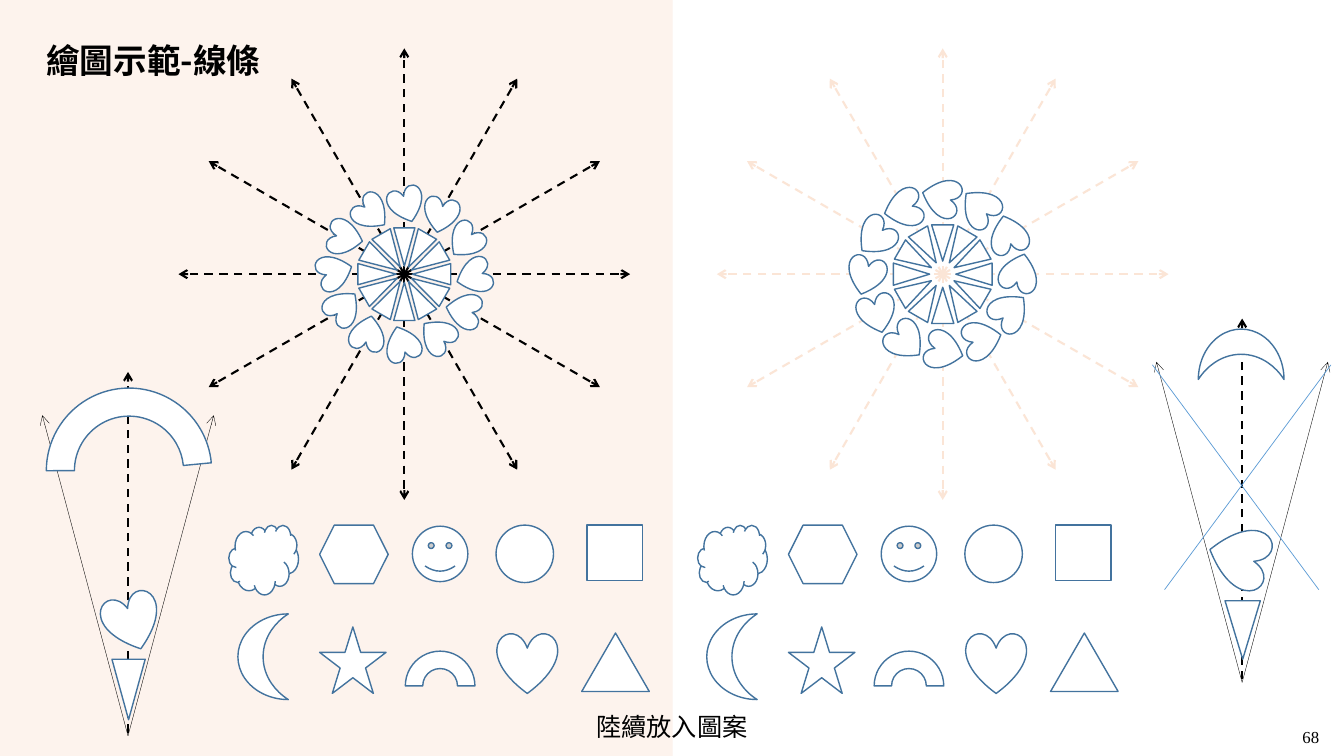
import math
from typing import NamedTuple

import lxml.etree
import pptx
import pptx.dml.color
import pptx.enum.dml
import pptx.enum.shapes
import pptx.enum.text
import pptx.oxml.ns
import pptx.util

Inches = pptx.util.Inches
Pt = pptx.util.Pt
Shape = pptx.enum.shapes.MSO_SHAPE
Align = pptx.enum.text.PP_ALIGN
qualified = pptx.oxml.ns.qn

BLACK = "000000"
WHITE = "FFFFFF"
OUTLINE = "43739E"
PALE = "FBE5D6"
CROSS_BLUE = "5B9BD5"
PANEL = "F4B183"
CJK_FONT = "Noto Sans CJK SC"
SERIF_FONT = "Times New Roman"
SPOKES = 12
RAY_LENGTH = 2.24
GALLERY_SHIFT = 4.65


class Figure(NamedTuple):
    kind: Shape
    left: float
    top: float
    width: float
    height: float
    rotation: float = 0
    adjustments: tuple = ()


class Line(NamedTuple):
    start: tuple
    end: tuple
    color: str
    width: float
    dashed: bool = False
    arrow: bool = False


class Ring(NamedTuple):
    kind: Shape
    width: float
    height: float
    radius: float
    turn: float
    rotation: float


class Wheel(NamedTuple):
    center: tuple
    ray_color: str
    rings: tuple


GALLERY = (
    Figure(Shape.RECTANGLE, 5.82, 5.21, 0.55, 0.55),
    Figure(Shape.ISOSCELES_TRIANGLE, 5.77, 6.28, 0.67, 0.58),
    Figure(Shape.HEXAGON, 3.17, 5.21, 0.68, 0.58),
    Figure(Shape.SMILEY_FACE, 4.09, 5.22, 0.55, 0.55),
    Figure(Shape.BLOCK_ARC, 4.02, 6.46, 0.69, 0.69),
    Figure(Shape.CLOUD, 2.27, 5.21, 0.69, 0.69),
    Figure(Shape.STAR_5_POINT, 3.17, 6.22, 0.66, 0.66),
    Figure(Shape.OVAL, 4.92, 5.21, 0.57, 0.57),
    Figure(Shape.MOON, 2.36, 6.09, 0.5, 0.85),
    Figure(Shape.HEART, 4.93, 6.28, 0.6, 0.6),
)
WHEELS = (
    Wheel((4.01, 2.72), BLACK, (
        Ring(Shape.ISOSCELES_TRIANGLE, 0.21, 0.38, 0.27, 0, 180),
        Ring(Shape.HEART, 0.35, 0.35, 0.69, 1.7, 341.9),
    )),
    Wheel((9.35, 2.72), PALE, (
        Ring(Shape.ISOSCELES_TRIANGLE, 0.22, 0.36, 0.31, 0, 180),
        Ring(Shape.HEART, 0.38, 0.38, 0.76, -1.1, 105),
    )),
)
FAN_APEXES = ((1.27, 7.3), (12.32, 6.77))
FAN_FIGURES = (
    Figure(Shape.HEART, 1.03, 5.89, 0.56, 0.56, 341.9),
    Figure(Shape.BLOCK_ARC, 0.46, 3.85, 1.64, 1.64, 0, (108, 212.71, 0.17)),
    Figure(Shape.ISOSCELES_TRIANGLE, 1.11, 6.54, 0.33, 0.6, 180),
    Figure(Shape.ISOSCELES_TRIANGLE, 12.15, 5.96, 0.35, 0.58, 180),
    Figure(Shape.HEART, 11.99, 5.23, 0.6, 0.6, 105),
    Figure(Shape.MOON, 12.06, 3.09, 0.5, 0.85, 90),
)
CROSS = (
    Line((11.43, 3.62), (13.08, 5.85), CROSS_BLUE, 0.5),
    Line((13.2, 3.62), (11.55, 5.85), CROSS_BLUE, 0.5),
)


def rgb(color: str) -> pptx.dml.color.RGBColor:
    return pptx.dml.color.RGBColor.from_string(color)


def set_alpha(element, percent: int) -> None:
    for color in element.iter(qualified("a:srgbClr")):
        lxml.etree.SubElement(color, qualified("a:alpha"), val=str(percent * 1000))


def polar(center: tuple, radius: float, degrees: float) -> tuple:
    angle = math.radians(degrees)
    return center[0] + radius * math.sin(angle), center[1] - radius * math.cos(angle)


def draw_figure(slide, figure: Figure, shift: float = 0):
    shape = slide.shapes.add_shape(
        figure.kind, Inches(figure.left + shift), Inches(figure.top),
        Inches(figure.width), Inches(figure.height))
    shape.rotation = figure.rotation
    for index, value in enumerate(figure.adjustments):
        shape.adjustments[index] = value
    shape.shadow.inherit = False
    shape.fill.solid()
    shape.fill.fore_color.rgb = rgb(WHITE)
    shape.line.color.rgb = rgb(OUTLINE)
    shape.line.width = Pt(1)
    return shape


def draw_line(slide, line: Line):
    connector = slide.shapes.add_connector(
        pptx.enum.shapes.MSO_CONNECTOR.STRAIGHT,
        *(Inches(value) for value in line.start + line.end))
    connector.line.color.rgb = rgb(line.color)
    connector.line.width = Pt(line.width)
    if line.dashed:
        connector.line.dash_style = pptx.enum.dml.MSO_LINE.DASH
    if line.arrow:
        outline = connector.line._get_or_add_ln()
        lxml.etree.SubElement(outline, qualified("a:tailEnd"), type="arrow")
    lxml.etree.SubElement(connector.element.spPr, qualified("a:effectLst"))
    return connector


def draw_wheel(slide, wheel: Wheel) -> None:
    angles = [360 / SPOKES * spoke for spoke in range(SPOKES)]
    for angle in angles:
        tip = polar(wheel.center, RAY_LENGTH, angle)
        draw_line(slide, Line(wheel.center, tip, wheel.ray_color, 1.5, True, True))
    for ring in wheel.rings:
        for angle in angles:
            x, y = polar(wheel.center, ring.radius, angle + ring.turn)
            draw_figure(slide, Figure(
                ring.kind, x - ring.width / 2, y - ring.height / 2,
                ring.width, ring.height, (ring.rotation + angle) % 360))


def draw_fan(slide, apex: tuple) -> None:
    x, y = apex
    for side in (-0.85, 0.85):
        draw_line(slide, Line(apex, (x + side, y - 3.18), BLACK, 0.25, arrow=True))
    draw_line(slide, Line((x, y - 0.03), (x, y - 3.61), BLACK, 1.5, True, True))


def write_text(shape, text: str, size: float, font_name: str,
               alignment: Align, bold: bool = False) -> None:
    frame = shape.text_frame
    frame.text = text
    frame.vertical_anchor = pptx.enum.text.MSO_ANCHOR.MIDDLE
    frame.word_wrap = False
    paragraph = frame.paragraphs[0]
    paragraph.alignment = alignment
    for run in paragraph.runs:
        run.font.size = Pt(size)
        run.font.bold = bold
        run.font.name = font_name
        run.font.color.rgb = rgb(BLACK)
        lxml.etree.SubElement(run.font._element, qualified("a:ea"), typeface=CJK_FONT)


def draw_background(slide) -> None:
    panel = draw_figure(slide, Figure(Shape.RECTANGLE, 0, 0, 6.67, 7.5))
    panel.fill.fore_color.rgb = rgb(PANEL)
    panel.line.fill.background()
    set_alpha(panel.element.spPr, 14)
    divider = draw_line(slide, Line((6.67, 7.5), (6.67, 0), PALE, 0.25))
    set_alpha(divider.element.spPr, 50)


def draw_texts(slide) -> None:
    caption = draw_figure(slide, Figure(Shape.ROUNDED_RECTANGLE, 5.79, 6.98, 1.75, 0.45))
    caption.fill.background()
    caption.line.fill.background()
    write_text(caption, "陸續放入圖案", 18, SERIF_FONT, Align.CENTER)
    title = slide.shapes.title
    title.left, title.top = Inches(0.36), Inches(0.4)
    title.width, title.height = Inches(5.95), Inches(0.44)
    write_text(title, "繪圖示範-線條", 24, CJK_FONT, Align.LEFT, True)
    title.text_frame.word_wrap = True
    title.text_frame.paragraphs[0].line_spacing = 0.9
    slide.shapes.element.append(title.element)
    number = slide.shapes.add_textbox(Inches(12.82), Inches(7.16), Inches(0.37), Inches(0.3))
    write_text(number, "68", 12, SERIF_FONT, Align.LEFT)


def main() -> None:
    presentation = pptx.Presentation()
    presentation.slide_width = Inches(13.33)
    presentation.slide_height = Inches(7.5)
    slide = presentation.slides.add_slide(presentation.slide_layouts[5])
    draw_background(slide)
    for apex in FAN_APEXES:
        draw_fan(slide, apex)
    for wheel in WHEELS:
        draw_wheel(slide, wheel)
    for shift in (0, GALLERY_SHIFT):
        for figure in GALLERY:
            draw_figure(slide, figure, shift)
    for line in CROSS:
        draw_line(slide, line)
    for figure in FAN_FIGURES:
        draw_figure(slide, figure)
    draw_texts(slide)
    presentation.save("out.pptx")


if __name__ == "__main__":
    main()
